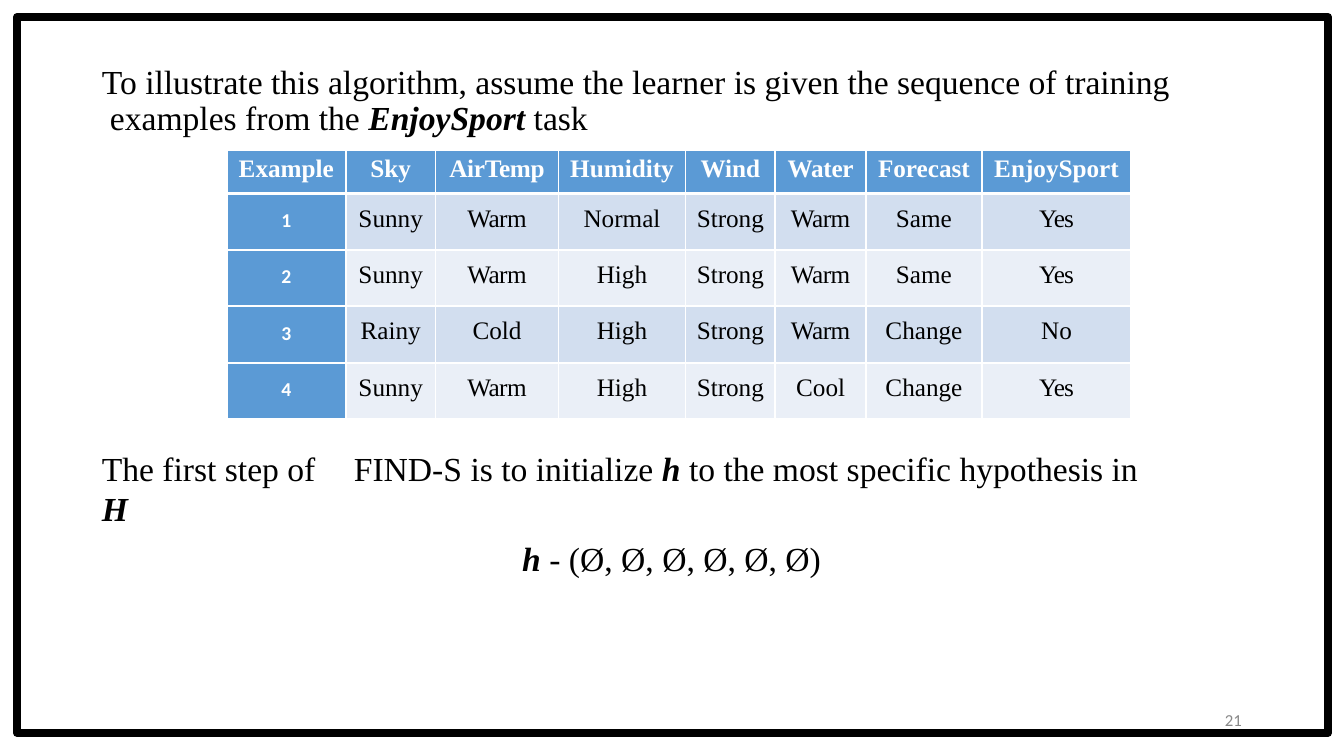
import pptx
import pptx.dml.color
import pptx.enum.dml
import pptx.enum.shapes
import pptx.enum.text
import pptx.oxml
import pptx.oxml.ns
import pptx.util
from lxml import etree

Inches, Pt = pptx.util.Inches, pptx.util.Pt
ALIGN = pptx.enum.text.PP_ALIGN
SERIF = "Times New Roman"

COLUMN_WIDTHS = [1.18, 0.89, 1.22, 1.26, 0.89, 0.9, 1.15, 1.48]
TRAINING_EXAMPLES = [
    ["Example", "Sky", "AirTemp", "Humidity", "Wind", "Water", "Forecast", "EnjoySport"],
    ["1", "Sunny", "Warm", "Normal", "Strong", "Warm", "Same", "Yes"],
    ["2", "Sunny", "Warm", "High", "Strong", "Warm", "Same", "Yes"],
    ["3", "Rainy", "Cold", "High", "Strong", "Warm", "Change", "No"],
    ["4", "Sunny", "Warm", "High", "Strong", "Cool", "Change", "Yes"],
]
# Letter spacing in hundredths of a point
TRACKING = {"Warm": -40, "Yes": -70, "AirTemp": -20, "Water": -20}


def rgb(color):
    return pptx.dml.color.RGBColor.from_string(color)


def set_font(p, size, color="000000", name=SERIF, bold=False):
    p.font.size = Pt(size)
    p.font.name = name
    p.font.bold = bold
    p.font.color.rgb = rgb(color)


def add_runs(p, parts):
    """Add text parts in turn; every second one is bold italic."""
    for i, text in enumerate(parts):
        if text:
            r = p.add_run()
            r.text = text
            if i % 2:
                r.font.bold = r.font.italic = True


def set_indent(p, left, first=0):
    pPr = p._p.get_or_add_pPr()
    pPr.set("marL", str(Inches(left)))
    pPr.set("indent", str(Inches(first)))


def set_frame(tf, top=0):
    tf.word_wrap = True
    tf.auto_size = pptx.enum.text.MSO_AUTO_SIZE.NONE
    tf.vertical_anchor = pptx.enum.text.MSO_ANCHOR.TOP
    tf.margin_left = tf.margin_right = tf.margin_bottom = 0
    tf.margin_top = Inches(top)


def add_text_box(slide, x, y, w, h, top=0):
    sp = slide.shapes.add_textbox(Inches(x), Inches(y), Inches(w), Inches(h))
    set_frame(sp.text_frame, top)
    return sp.text_frame


def add_title(slide, x, y, w, h):
    sp = slide.shapes.title
    sp.left, sp.top, sp.width, sp.height = map(Inches, (x, y, w, h))
    set_frame(sp.text_frame, 0.06)
    p = sp.text_frame.paragraphs[0]
    p.alignment = ALIGN.LEFT
    p.line_spacing, p.space_before = Pt(25.9), Pt(4.2)
    set_indent(p, 0.09, -0.08)
    set_font(p, 24)
    add_runs(p, ["To illustrate this algorithm, assume the learner is given the "
                 "sequence of training examples from the ", "EnjoySport ", "task"])


def add_first_step(slide, x, y, w, h):
    tf = add_text_box(slide, x, y, w, h, 0.11)
    p = tf.paragraphs[0]
    set_indent(p, 0.01)
    p.space_before = Pt(8.2)
    tabs = etree.SubElement(p._p.get_or_add_pPr(), pptx.oxml.ns.qn("a:tabLst"))
    etree.SubElement(tabs, pptx.oxml.ns.qn("a:tab"), pos=str(Inches(2.3)), algn="l")
    set_font(p, 24)
    add_runs(p, ["The first step of\tFIND-S is to initialize ", "h ",
                 "to the most specific hypothesis in ", "H"])
    p = tf.add_paragraph()
    set_indent(p, 4.18)
    p.space_before = Pt(7.2)
    set_font(p, 24)
    add_runs(p, ["", "h ", "- (Ø, Ø, Ø, Ø, Ø, Ø)"])


def set_borders(cell, top, bottom):
    tcPr = cell._tc.get_or_add_tcPr()
    for i, (side, width) in enumerate(
            [("lnL", 1.5), ("lnR", 1.5), ("lnT", top), ("lnB", bottom)]):
        tcPr.insert(i, pptx.oxml.parse_xml(
            f'<a:{side} {pptx.oxml.ns.nsdecls("a")} w="{Pt(width)}"><a:solidFill>'
            f'<a:srgbClr val="FFFFFF"/></a:solidFill></a:{side}>'))


def fill_cell(cell, text, row, col):
    header, label = row == 0, row > 0 and col == 0
    if header:
        top, before = 0.05, 3.4
    elif label:
        top, before = 0.15, 10.5
    else:
        top, before = 0.11, 7.8
    accent = header or label
    band = "D2DEEF" if row % 2 else "EAEFF7"
    cell.fill.solid()
    cell.fill.fore_color.rgb = rgb("5B9AD5" if accent else band)
    cell.margin_left = cell.margin_right = cell.margin_bottom = 0
    cell.margin_top = Inches(top)
    set_borders(cell, 3 if row == 1 else 1.5, 3 if header else 1.5)
    p = cell.text_frame.paragraphs[0]
    p.alignment = ALIGN.CENTER
    p.space_before = Pt(before)
    set_font(p, 14 if label else 18, "FFFFFF" if accent else "000000",
             "Calibri" if label else SERIF, accent)
    r = p.add_run()
    r.text = text
    if text in TRACKING:
        r._r.get_or_add_rPr().set("spc", str(TRACKING[text]))


def add_examples_table(slide, x, y, w, h):
    table = slide.shapes.add_table(
        len(TRAINING_EXAMPLES), len(COLUMN_WIDTHS),
        Inches(x), Inches(y), Inches(w), Inches(h)).table
    for column, width in zip(table.columns, COLUMN_WIDTHS):
        column.width = Inches(width)
    header_height = 0.43
    for i, values in enumerate(TRAINING_EXAMPLES):
        table.rows[i].height = Inches(
            (h - header_height) / (len(TRAINING_EXAMPLES) - 1) if i else header_height)
        for j, text in enumerate(values):
            fill_cell(table.cell(i, j), text, i, j)


def add_page_number(slide, x, y, w, h):
    p = add_text_box(slide, x, y, w, h).paragraphs[0]
    p.line_spacing = Pt(12.4)
    set_indent(p, 0.03)
    set_font(p, 12, "888888", "Calibri")
    p.add_run().text = "21"


def add_border(slide, x, y, w, h):
    sp = slide.shapes.add_shape(pptx.enum.shapes.MSO_SHAPE.RECTANGLE,
                                Inches(x), Inches(y), Inches(w), Inches(h))
    sp.shadow.inherit = False
    sp.fill.background()
    sp.line.color.rgb = rgb("000000")
    sp.line.width = Pt(6)


def main():
    prs = pptx.Presentation()
    prs.slide_width, prs.slide_height = Inches(13.33), Inches(7.5)
    slide = prs.slides.add_slide(prs.slide_layouts[5])
    add_page_number(slide, 12.12, 7.07, 0.23, 0.2)
    add_title(slide, 1, 0.58, 10.61, 0.79)
    add_first_step(slide, 1, 4.33, 10.43, 1.03)
    add_examples_table(slide, 2.25, 1.49, sum(COLUMN_WIDTHS), 2.67)
    add_border(slide, 0.17, 0.17, 13, 7.1)
    prs.save("out.pptx")


if __name__ == "__main__":
    main()
